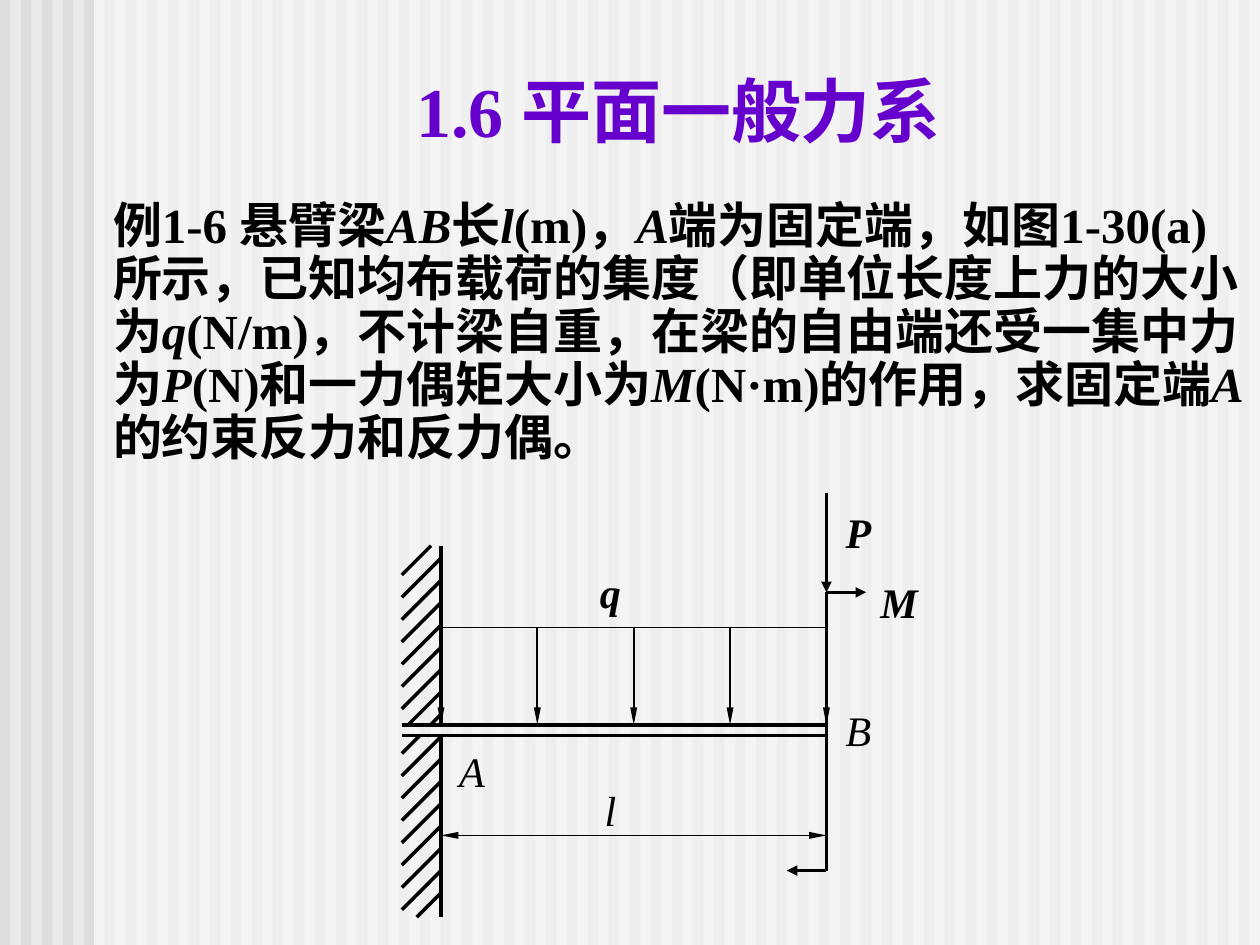
from lxml.etree import SubElement
from pptx import Presentation
from pptx.dml.color import RGBColor
from pptx.enum.shapes import MSO_CONNECTOR, MSO_SHAPE
from pptx.enum.text import MSO_ANCHOR, PP_ALIGN
from pptx.oxml.ns import qn
from pptx.util import Cm, Pt

COLORS = {
    "background": "EAEAEA",
    "stripe": "DDDDDD",
    "veil": "FFFFFF",
    "title": "6600CC",
    "ink": "000000",
}
FONT = "Times New Roman"
SLIDE_WIDTH, SLIDE_HEIGHT = 25.4, 19.05

presentation = Presentation()
presentation.slide_width = Cm(SLIDE_WIDTH)
presentation.slide_height = Cm(SLIDE_HEIGHT)
slide = presentation.slides.add_slide(presentation.slide_layouts[6])
slide.background.fill.solid()
slide.background.fill.fore_color.rgb = RGBColor.from_string(COLORS["background"])


def add_line(x1, y1, x2, y2, width=2, arrows=()):
    """Draw a line in cm; arrows names its ends: headEnd, tailEnd."""
    line = slide.shapes.add_connector(
        MSO_CONNECTOR.STRAIGHT, Cm(x1), Cm(y1), Cm(x2), Cm(y2))
    line.line.width = Pt(width)
    line.line.color.rgb = RGBColor.from_string(COLORS["ink"])
    breadth, length = ("sm", "lg") if width == 1 else ("med", "med")
    outline = line.line._get_or_add_ln()
    for end in arrows:
        SubElement(outline, qn(f"a:{end}"), type="triangle", w=breadth, len=length)
    SubElement(line._element.spPr, qn("a:effectLst"))


def add_text(left, top, width, height, runs, size, color="ink", bold=False,
             align=PP_ALIGN.CENTER, anchor=MSO_ANCHOR.MIDDLE, wrap=True):
    """Add one paragraph from (text, italic) runs and return it."""
    box = slide.shapes.add_textbox(Cm(left), Cm(top), Cm(width), Cm(height))
    box.text_frame.word_wrap = wrap
    box.text_frame.vertical_anchor = anchor
    paragraph = box.text_frame.paragraphs[0]
    paragraph.alignment = align
    paragraph.font.name = FONT
    paragraph.font.size = Pt(size)
    paragraph.font.bold = bold
    paragraph.font.color.rgb = RGBColor.from_string(COLORS[color])
    for text, italic in runs:
        run = paragraph.add_run()
        run.text = text
        run.font.italic = italic
    return paragraph


# Striped background, veiled to the right of the margin
bands = [("stripe", i * SLIDE_WIDTH / 60, 0.21) for i in range(60)]
bands.append(("veil", 1.9, SLIDE_WIDTH - 1.9))
for color, left, width in bands:
    band = slide.shapes.add_shape(
        MSO_SHAPE.RECTANGLE, Cm(left), 0, Cm(width), Cm(SLIDE_HEIGHT))
    band.shadow.inherit = False
    band.line.fill.background()
    band.fill.solid()
    band.fill.fore_color.rgb = RGBColor.from_string(COLORS[color])
veil_color = band._element.spPr.find(qn("a:solidFill")).find(qn("a:srgbClr"))
SubElement(veil_color, qn("a:alpha"), val="50000")

# Problem statement and title
statement = [
    ("例1-6 悬臂梁", False), ("AB", True), ("长", False), ("l", True),
    ("(m)，", False), ("A", True),
    ("端为固定端，如图1-30(a)所示，已知均布载荷的集度（即单位长度上力的大小为", False),
    ("q", True), ("(N/m)，不计梁自重，在梁的自由端还受一集中力为", False),
    ("P", True), ("(N)和一力偶矩大小为", False), ("M", True),
    ("(N·m)的作用，求固定端", False), ("A", True),
    ("的约束反力和反力偶。", False),
]
problem = add_text(2.03, 3.94, 23.37, 13.77, statement, 28, bold=True,
                   align=PP_ALIGN.LEFT, anchor=MSO_ANCHOR.TOP)
problem.line_spacing = 0.9
add_text(2.34, 1.22, 22.68, 1.96, [("1.6 平面一般力系", False)], 40,
         color="title", bold=True, anchor=MSO_ANCHOR.BOTTOM)

# Cantilever beam and its wall
wall_left, wall_x, free_end = 8.1, 8.89, 16.66
wall_top, wall_bottom = 11, 18.49
beam_top, beam_bottom = 14.61, 14.83
for y in (beam_top, beam_bottom):
    add_line(wall_left, y, free_end, y)
add_line(free_end, beam_top, free_end, beam_bottom)

# 45-degree hatching, clipped to the wall above and below the beam
for top, bottom in ((wall_top, beam_top), (beam_bottom, wall_bottom)):
    add_line(wall_x, top, wall_x, bottom)
    for i in range(17):
        diagonal = 19.69 + 0.45 * i  # x + y along the hatch line
        x1 = max(wall_left, diagonal - bottom)
        x2 = min(wall_x, diagonal - top)
        if x1 < x2:
            add_line(x1, diagonal - x1, x2, diagonal - x2)

# Distributed load q
load_top = 12.65
add_line(wall_x, load_top, free_end, load_top, 1)
for i in range(5):
    x = wall_x + i * (free_end - wall_x) / 4
    add_line(x, load_top, x, beam_top, 1, ["tailEnd"])

# Couple M, force P and span l
couple_top, couple_bottom, span_y = 11.94, 17.55, 16.84
add_line(free_end, couple_top, free_end, couple_bottom)
add_line(free_end, couple_top, free_end + 0.8, couple_top, arrows=["tailEnd"])
add_line(free_end, couple_bottom, free_end - 0.8, couple_bottom, arrows=["tailEnd"])
add_line(free_end, 9.93, free_end, couple_top, arrows=["tailEnd"])
add_line(wall_x, span_y, free_end, span_y, 1, ["headEnd", "tailEnd"])

labels = [
    ("A", 8.92, 14.94, False), ("B", 16.71, 14.12, False),
    ("M", 17.5, 11.53, True), ("P", 16.71, 10.13, True),
    ("q", 11.71, 11.33, True), ("l", 11.71, 15.72, False),
]
for letter, left, top, bold in labels:
    add_text(left, top, 1.19, 1.19, [(letter, True)], 24, bold=bold, wrap=False)

presentation.save("out.pptx")
